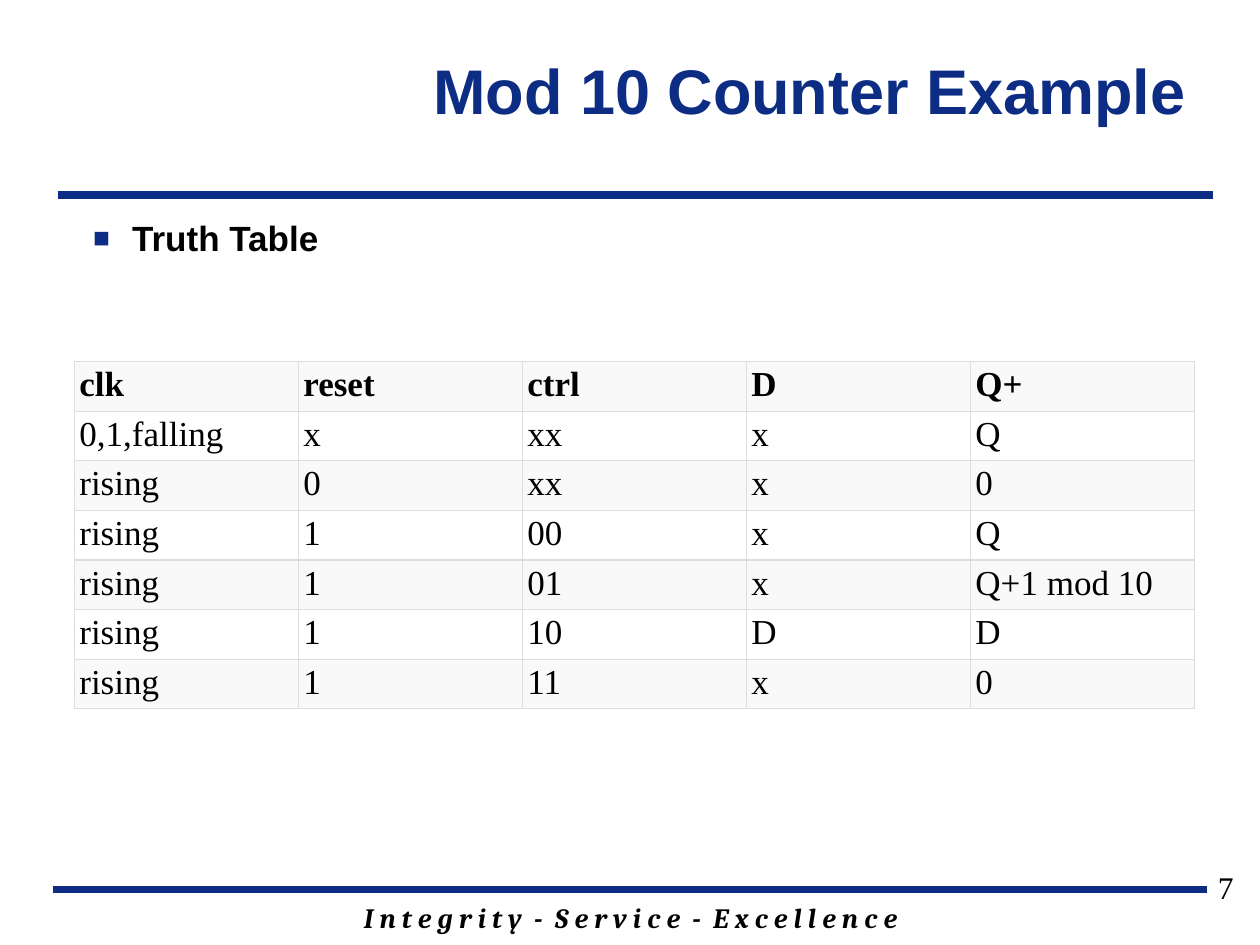
from lxml import etree
from pptx import Presentation
from pptx.dml.color import RGBColor
from pptx.enum.shapes import MSO_CONNECTOR
from pptx.enum.text import MSO_ANCHOR as Anchor, PP_ALIGN as Align
from pptx.oxml.ns import qn
from pptx.util import Inches, Pt

NAVY = RGBColor(0x0C, 0x2D, 0x83)
BLACK = RGBColor(0, 0, 0)
WHITE = RGBColor(0xFF, 0xFF, 0xFF)
STRIPE = RGBColor(0xF9, 0xF9, 0xF9)
GRID = RGBColor(0xDD, 0xDD, 0xDD)
SERIF = "Times New Roman"

TRUTH_TABLE = [
    ["clk", "reset", "ctrl", "D", "Q+"],
    ["0,1,falling", "x", "xx", "x", "Q"],
    ["rising", "0", "xx", "x", "0"],
    ["rising", "1", "00", "x", "Q"],
    ["rising", "1", "01", "x", "Q+1 mod 10"],
    ["rising", "1", "10", "D", "D"],
    ["rising", "1", "11", "x", "0"],
]


def style(paragraph, size, name, color=BLACK, bold=False, italic=False):
    font = paragraph.font
    font.size, font.name = Pt(size), name
    font.bold, font.italic = bold, italic
    font.color.rgb = color


def add_text(slide, box, text, align=Align.LEFT, anchor=Anchor.TOP):
    frame = slide.shapes.add_textbox(*map(Inches, box)).text_frame
    frame.word_wrap = True
    frame.vertical_anchor = anchor
    paragraph = frame.paragraphs[0]
    paragraph.text = text
    paragraph.alignment = align
    return paragraph


def add_rule(slide, left, top, width):
    rule = slide.shapes.add_connector(
        MSO_CONNECTOR.STRAIGHT,
        Inches(left), Inches(top), Inches(left + width), Inches(top))
    rule.line.color.rgb = NAVY
    rule.line.width = Pt(4.5)
    etree.SubElement(rule._element.spPr, qn("a:effectLst"))


def add_title(slide, box):
    title = add_text(slide, box, "Mod 10 Counter Example",
                     Align.RIGHT, Anchor.MIDDLE)
    style(title, 36, "Arial", NAVY, bold=True)


def add_bullet(slide, box):
    heading = add_text(slide, box, "Truth Table")
    # Hanging indent with a smaller navy square
    props = heading._p.get_or_add_pPr()
    props.set("marL", str(Inches(0.31)))
    props.set("indent", str(-Inches(0.31)))
    color = etree.SubElement(props, qn("a:buClr"))
    etree.SubElement(color, qn("a:srgbClr"), val=str(NAVY))
    etree.SubElement(props, qn("a:buSzPct"), val="80000")
    etree.SubElement(props, qn("a:buFont"), typeface="Arial")
    etree.SubElement(props, qn("a:buChar"), char="■")
    style(heading, 20, "Arial", bold=True)


def add_borders(cell):
    props = cell._tc.get_or_add_tcPr()
    for index, side in enumerate(("lnL", "lnR", "lnT", "lnB")):
        border = etree.Element(qn(f"a:{side}"), w=str(Pt(0.75)))
        fill = etree.SubElement(border, qn("a:solidFill"))
        etree.SubElement(fill, qn("a:srgbClr"), val=str(GRID))
        props.insert(index, border)


def add_truth_table(slide, box):
    table = slide.shapes.add_table(
        len(TRUTH_TABLE), len(TRUTH_TABLE[0]), *map(Inches, box)).table
    for r, values in enumerate(TRUTH_TABLE):
        for c, value in enumerate(values):
            cell = table.cell(r, c)
            cell.text = value
            cell.margin_left = cell.margin_right = Inches(0.04)
            cell.margin_top = cell.margin_bottom = Inches(0.03)
            cell.fill.solid()
            cell.fill.fore_color.rgb = WHITE if r % 2 else STRIPE
            style(cell.text_frame.paragraphs[0], 20, SERIF, bold=r == 0)
            add_borders(cell)


def add_footer(slide, motto_box, number_box):
    motto = add_text(
        slide, motto_box,
        "I n t e g r i t y  -  S e r v i c e  -  E x c e l l e n c e",
        Align.CENTER)
    style(motto, 16, "Cambria", bold=True, italic=True)
    number = add_text(slide, number_box, "7", Align.RIGHT)
    style(number, 18, SERIF)


def main():
    prs = Presentation()
    prs.slide_width, prs.slide_height = Inches(10), Inches(7.5)
    slide = prs.slides.add_slide(prs.slide_layouts[6])

    # Rules under the title and above the footer
    add_rule(slide, 0.46, 1.55, 9.17)
    add_rule(slide, 0.42, 7.06, 9.16)

    # Content from top to bottom
    add_title(slide, (2.09, 0.08, 7.42, 1.25))
    add_bullet(slide, (0.64, 1.67, 8.89, 0.5))
    add_truth_table(slide, (0.59, 2.87, 8.89, 2.59))
    add_footer(slide, (1.42, 7.1, 7.17, 0.37), (7.56, 6.84, 2.33, 0.52))

    prs.save("out.pptx")


if __name__ == "__main__":
    main()
